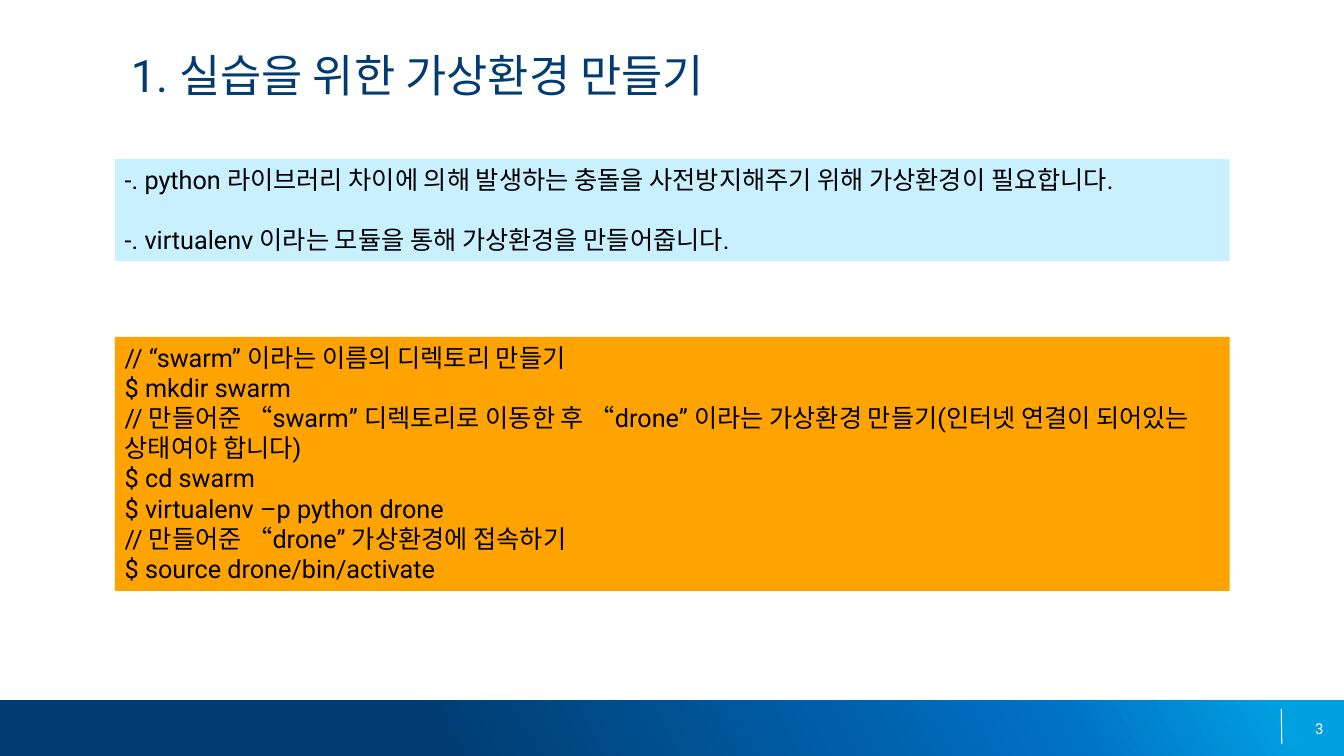
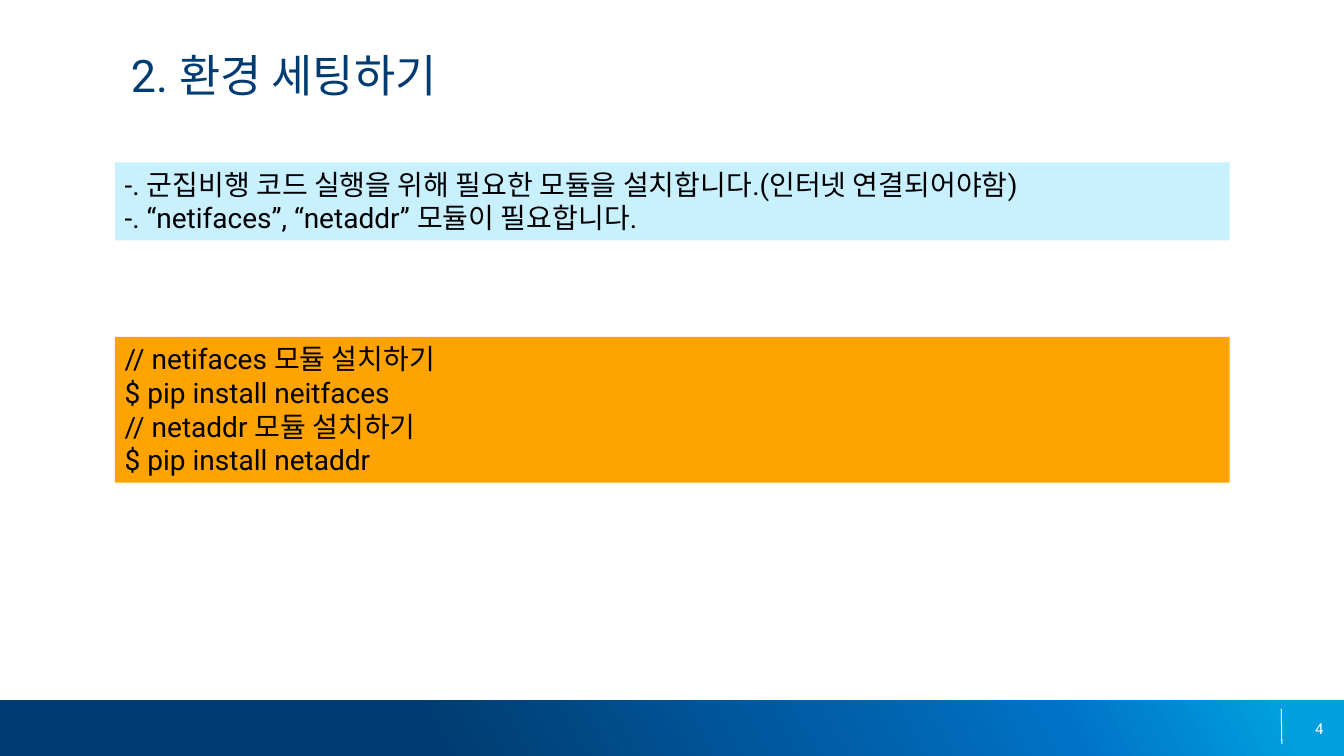
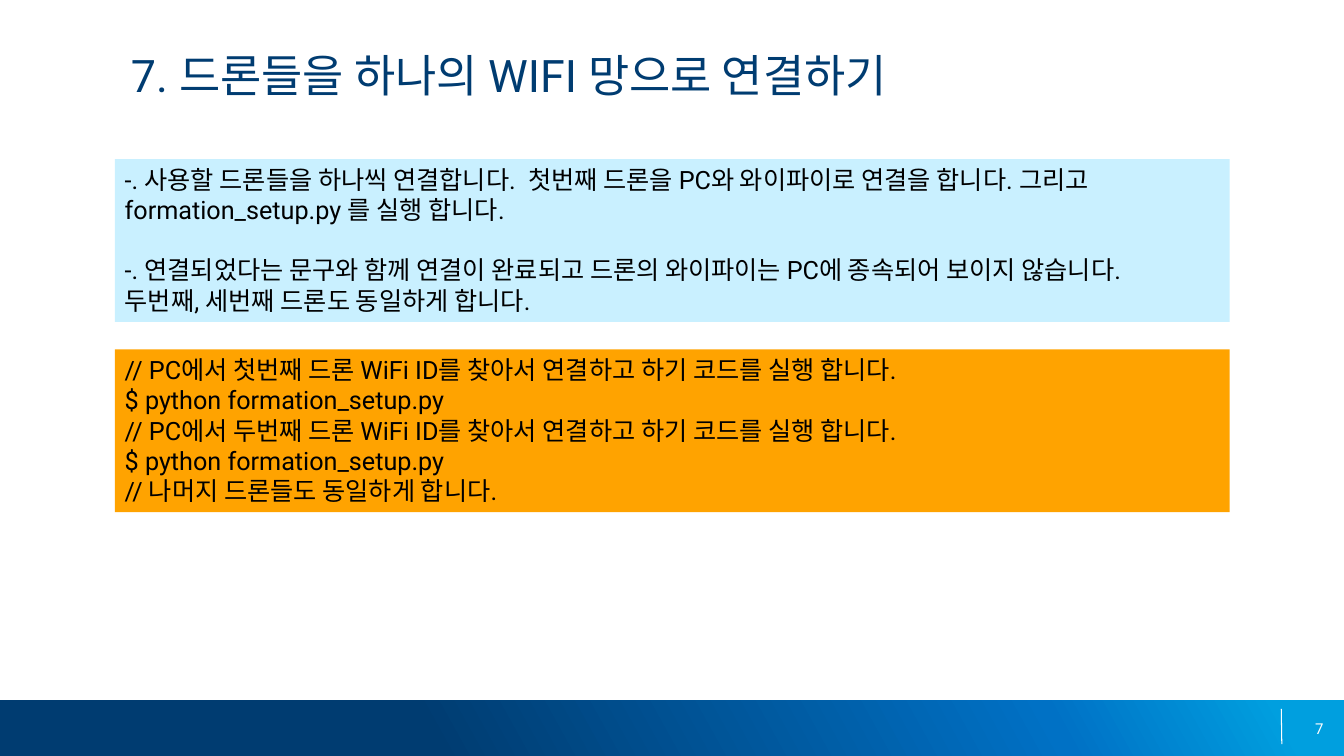
from copy import deepcopy

from pptx import Presentation
from pptx.dml.color import RGBColor
from pptx.enum.shapes import MSO_CONNECTOR, MSO_SHAPE
from pptx.enum.text import MSO_ANCHOR, MSO_AUTO_SIZE, PP_ALIGN
from pptx.oxml.ns import qn
from pptx.oxml.xmlchemy import OxmlElement
from pptx.util import Pt

RECTANGLE = MSO_SHAPE.RECTANGLE
STRAIGHT = MSO_CONNECTOR.STRAIGHT
TOP, MIDDLE = MSO_ANCHOR.TOP, MSO_ANCHOR.MIDDLE
LEFT, RIGHT = PP_ALIGN.LEFT, PP_ALIGN.RIGHT
GROW = MSO_AUTO_SIZE.SHAPE_TO_FIT_TEXT

FONT = "Roboto"
NAVY, BLACK, WHITE = "003C71", "000000", "FFFFFF"
NOTE_FILL, CODE_FILL = "C9F0FF", "FFA300"
BAND_STOPS = [(0.32, NAVY), (0.78, "0071C5"), (0.95, "009FDF")]

SLIDE_WIDTH, SLIDE_HEIGHT = 960, 540
BAND_TOP = 500
PANEL_LEFT, PANEL_WIDTH = 82, 796.3
LINE_SPACING = 1.2

# Each panel: top, height, paragraphs. Paragraphs listed in "spaced" follow a gap.
SLIDES = [
    {
        "number": "3",
        "title": "1. 실습을 위한 가상환경 만들기",
        "size": 18,
        "note": (113.6, 72.7, [
            "-. python 라이브러리 차이에 의해 발생하는 충돌을 사전방지해주기 위해 가상환경이 필요합니다.",
            "-. virtualenv 이라는 모듈을 통해 가상환경을 만들어줍니다.",
        ]),
        "spaced": [1],
        "code": (240.6, 181.4, [
            "// “swarm” 이라는 이름의 디렉토리 만들기",
            "$ mkdir swarm",
            "// 만들어준 “swarm” 디렉토리로 이동한 후 “drone” 이라는 가상환경 만들기"
            "(인터넷 연결이 되어있는 상태여야 합니다)",
            "$ cd swarm",
            "$ virtualenv –p python drone",
            "// 만들어준 “drone” 가상환경에 접속하기",
            "$ source drone/bin/activate",
        ]),
    },
    {
        "number": "4",
        "title": "2. 환경 세팅하기",
        "size": 20,
        "note": (116, 55.7, [
            "-. 군집비행 코드 실행을 위해 필요한 모듈을 설치합니다.(인터넷 연결되어야함)",
            "-. “netifaces”, “netaddr” 모듈이 필요합니다.",
        ]),
        "spaced": [],
        "code": (240.6, 104.2, [
            "// netifaces 모듈 설치하기",
            "$ pip install neitfaces",
            "// netaddr 모듈 설치하기",
            "$ pip install netaddr",
        ]),
    },
    {
        "number": "7",
        "title": "7. 드론들을 하나의 WIFI 망으로 연결하기",
        "size": 18,
        "note": (113.6, 116.3, [
            "-. 사용할 드론들을 하나씩 연결합니다.  첫번째 드론을 PC와 와이파이로 연결을 합니다. "
            "그리고 formation_setup.py 를 실행 합니다.",
            "-. 연결되었다는 문구와 함께 연결이 완료되고 드론의 와이파이는 PC에 종속되어 보이지 않습니다.",
            "두번째, 세번째 드론도 동일하게 합니다.",
        ]),
        "spaced": [1],
        "code": (249.6, 116.3, [
            "// PC에서 첫번째 드론 WiFi ID를 찾아서 연결하고 하기 코드를 실행 합니다.",
            "$ python formation_setup.py",
            "// PC에서 두번째 드론 WiFi ID를 찾아서 연결하고 하기 코드를 실행 합니다.",
            "$ python formation_setup.py",
            "// 나머지 드론들도 동일하게 합니다.",
        ]),
    },
]


def color(value):
    return RGBColor.from_string(value)


def add_rectangle(slide, left, top, width, height):
    shape = slide.shapes.add_shape(RECTANGLE, Pt(left), Pt(top), Pt(width), Pt(height))
    shape.shadow.inherit = False
    shape.line.fill.background()
    return shape


def write_paragraphs(frame, texts, size, text_color, alignment=LEFT, spaced=()):
    frame.word_wrap = True
    for index, text in enumerate(texts):
        paragraph = frame.add_paragraph() if index else frame.paragraphs[0]
        paragraph.text = text
        paragraph.alignment = alignment
        paragraph.font.name = FONT
        paragraph.font.size = Pt(size)
        paragraph.font.color.rgb = color(text_color)
        if index in spaced:
            paragraph.space_before = Pt(size * LINE_SPACING)


def add_label(slide, box, text, size, text_color, alignment=LEFT, anchor=TOP):
    """Add one line of text in a box without margins."""
    frame = slide.shapes.add_textbox(*map(Pt, box)).text_frame
    frame.margin_left = frame.margin_right = frame.margin_top = frame.margin_bottom = 0
    frame.vertical_anchor = anchor
    write_paragraphs(frame, [text], size, text_color, alignment)


def add_footer(slide, number):
    band = add_rectangle(slide, 0, BAND_TOP, SLIDE_WIDTH, SLIDE_HEIGHT - BAND_TOP)
    band.fill.gradient()
    band.fill.gradient_angle = 29
    stop_list = band.fill._xPr.find(".//" + qn("a:gsLst"))
    stop_list.append(deepcopy(stop_list[0]))
    for stop, (position, stop_color) in zip(band.fill.gradient_stops, BAND_STOPS):
        stop.position = position
        stop.color.rgb = color(stop_color)

    divider = slide.shapes.add_connector(STRAIGHT, Pt(915.2), Pt(506.3), Pt(915.6), Pt(531.5))
    divider.line.color.rgb = color(WHITE)
    divider.line.width = Pt(0.75)
    divider._element.spPr.append(OxmlElement("a:effectLst"))
    add_label(slide, (721.4, 506.3, 224, 28.8), number, 10.7, WHITE, RIGHT, MIDDLE)


def add_panel(slide, panel, fill_color, size, spaced=()):
    top, height, texts = panel
    shape = add_rectangle(slide, PANEL_LEFT, top, PANEL_WIDTH, height)
    shape.fill.solid()
    shape.fill.fore_color.rgb = color(fill_color)
    frame = shape.text_frame
    frame.vertical_anchor = TOP
    frame.auto_size = GROW
    write_paragraphs(frame, texts, size, BLACK, spaced=spaced)


def main():
    presentation = Presentation()
    presentation.slide_width = Pt(SLIDE_WIDTH)
    presentation.slide_height = Pt(SLIDE_HEIGHT)
    blank_layout = presentation.slide_layouts[6]
    for content in SLIDES:
        slide = presentation.slides.add_slide(blank_layout)
        add_footer(slide, content["number"])
        add_label(slide, (93.6, 33.8, PANEL_WIDTH, 50.4), content["title"], 32, NAVY)
        add_panel(slide, content["note"], NOTE_FILL, content["size"], content["spaced"])
        add_panel(slide, content["code"], CODE_FILL, content["size"])
    presentation.save("out.pptx")


if __name__ == "__main__":
    main()
